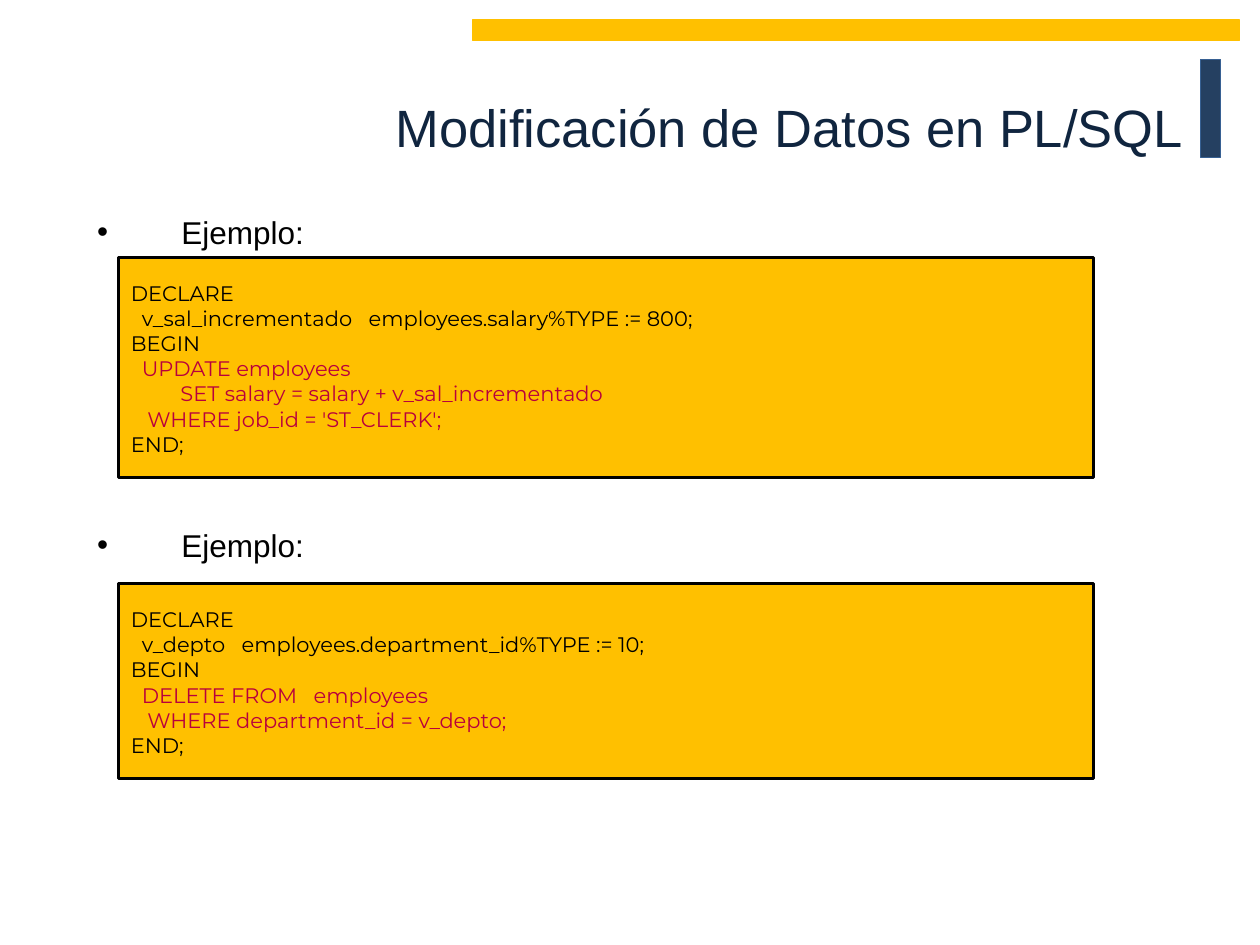
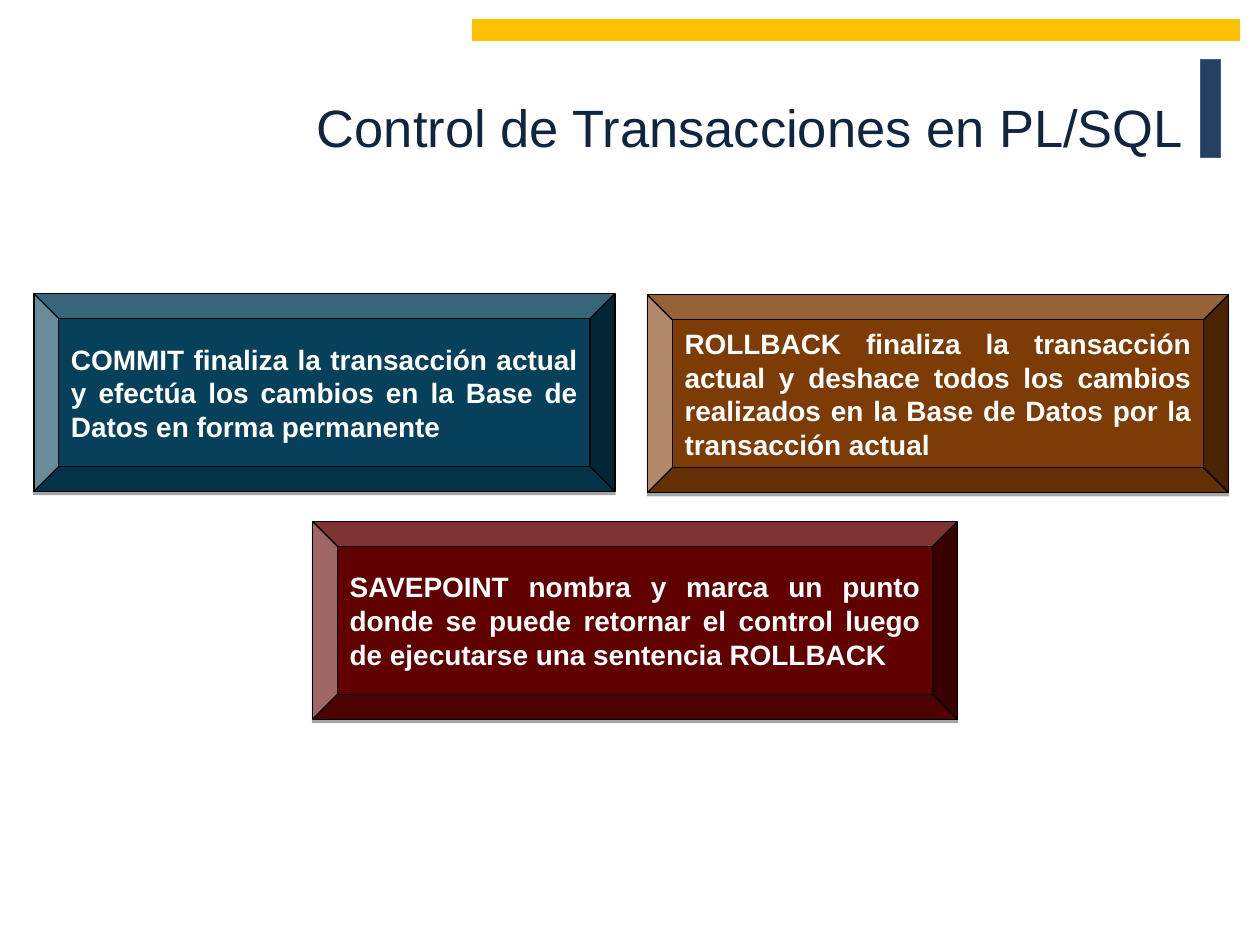
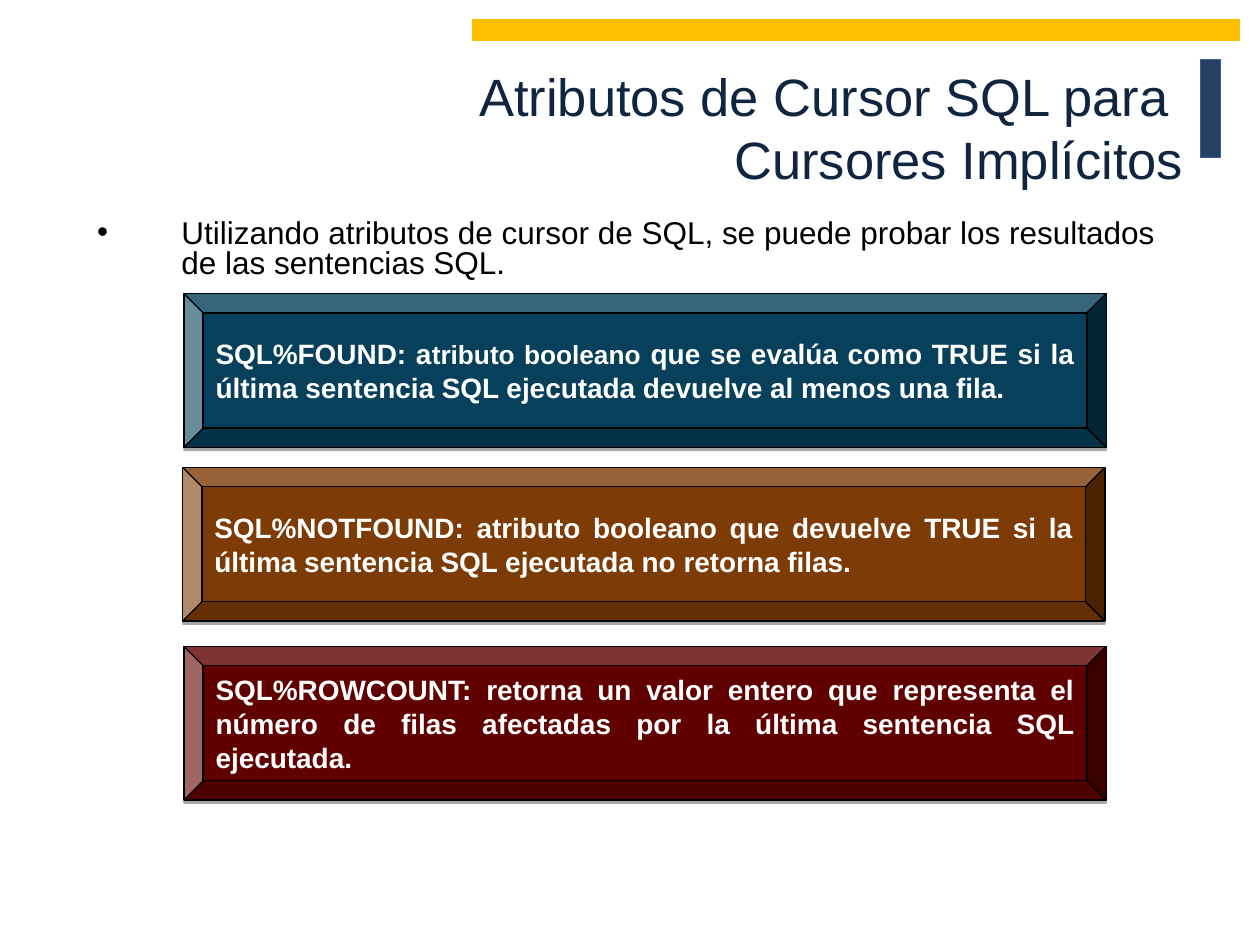
from lxml import etree
from pptx import Presentation
from pptx.dml.color import RGBColor
from pptx.enum.shapes import MSO_SHAPE
from pptx.enum.text import MSO_ANCHOR, MSO_AUTO_SIZE, PP_ALIGN
from pptx.oxml.ns import qn
from pptx.util import Pt

RECT, BEVEL = MSO_SHAPE.RECTANGLE, MSO_SHAPE.BEVEL
LEFT, RIGHT, JUSTIFY = PP_ALIGN.LEFT, PP_ALIGN.RIGHT, PP_ALIGN.JUSTIFY
TOP, MIDDLE = MSO_ANCHOR.TOP, MSO_ANCHOR.MIDDLE
NO_FIT = MSO_AUTO_SIZE.NONE
TITLE_AND_BODY, TITLE_ONLY = 1, 5

GOLD, NAVY, NAVY_EDGE, INK = "FFC000", "254061", "376092", "10253F"
BLACK, WHITE, CRIMSON = "000000", "FFFFFF", "B8003D"
TEAL, BROWN, MAROON = "06405A", "7D3B05", "600000"

CODE_SPACE = 3.15  # width of one space in the code font


def rgb(value):
    return RGBColor.from_string(value)


def write(p, text, size=16, color=BLACK, bold=False, font="Arial"):
    """Add text to a paragraph; a newline becomes a line break."""
    for i, line in enumerate(text.split("\n")):
        if i:
            p.add_line_break()
        r = p.add_run()
        r.text = line
        r.font.name, r.font.size, r.font.bold = font, Pt(size), bold
        r.font.color.rgb = rgb(color)


def indent(p, left, first=0):
    pPr = p._p.get_or_add_pPr()
    pPr.set("marL", str(Pt(left)))
    pPr.set("indent", str(Pt(first)))


def paragraph(tf, i):
    return tf.add_paragraph() if i else tf.paragraphs[0]


def place(sp, x, y, w, h):
    sp.left, sp.top, sp.width, sp.height = Pt(x), Pt(y), Pt(w), Pt(h)


def drop_shadow(sp):
    effects = sp.element.spPr.find(qn("a:effectLst"))
    shadow = etree.SubElement(effects, qn("a:outerShdw"), blurRad="0",
                              dist=str(Pt(1.8)), dir="5400000", rotWithShape="0")
    color = etree.SubElement(shadow, qn("a:srgbClr"), val=BLACK)
    etree.SubElement(color, qn("a:alpha"), val="35000")


class Deck:
    def __init__(self):
        self.prs = Presentation()
        self.prs.slide_width, self.prs.slide_height = Pt(720), Pt(540)
        self.s = None

    def slide(self, title, layout):
        first = self.s is None
        self.s = self.prs.slides.add_slide(self.prs.slide_layouts[layout])
        if first:
            self.master_bands()
        sp = self.s.shapes.title
        place(sp, 70, 15, 613.5, 115)
        tf = sp.text_frame
        tf.auto_size, tf.vertical_anchor = NO_FIT, MIDDLE
        p = tf.paragraphs[0]
        p.alignment = RIGHT
        write(p, title, size=30, color=INK)

    def master_bands(self):
        """Draw the two bands and hand them to the slide master."""
        bands = [self.shape(RECT, 686, 34, 11.5, 56, NAVY, NAVY_EDGE),
                 self.shape(RECT, 270, 11.5, 438.5, 11.5, GOLD, GOLD)]
        tree = self.prs.slide_master.shapes.element
        for i, sp in enumerate(bands):
            sp.element.nvSpPr.cNvPr.set("id", str(101 + i))
            tree.insert(2 + i, sp.element)

    def shape(self, kind, x, y, w, h, fill, line=BLACK, width=0.75):
        sp = self.s.shapes.add_shape(kind, Pt(x), Pt(y), Pt(w), Pt(h))
        sp.shadow.inherit = False
        sp.fill.solid()
        sp.fill.fore_color.rgb = rgb(fill)
        sp.line.color.rgb = rgb(line)
        sp.line.width = Pt(width)
        return sp

    def bullets(self, items, align, gap=3.6):
        """Fill the body placeholder; gap is the space between items."""
        sp = self.s.placeholders[1]
        place(sp, 48.25, 122.4, 629.3, 32.4)
        tf = sp.text_frame
        tf.auto_size, tf.vertical_anchor = NO_FIT, TOP
        for i, item in enumerate(items):
            p = paragraph(tf, i)
            p.alignment, p.line_spacing = align, 0.8
            p.space_before = Pt(gap if i else 3.6)
            indent(p, 48.25, -48.25)
            write(p, item, size=18)

    def code(self, y, h, lines):
        """Lines are (leading spaces, text, color)."""
        sp = self.shape(RECT, 67.7, y, 557.3, h, GOLD, width=1.75)
        tf = sp.text_frame
        tf.word_wrap, tf.vertical_anchor = True, TOP
        tf.margin_top = Pt(13.2)
        for i, (spaces, text, color) in enumerate(lines):
            p = paragraph(tf, i)
            p.alignment = LEFT
            indent(p, spaces * CODE_SPACE)
            write(p, text, size=12, color=color, font="Montserrat")

    def bevel(self, x, y, w, h, fill, *runs):
        """Runs are (text, size)."""
        sp = self.shape(BEVEL, x, y, w, h, fill)
        drop_shadow(sp)
        tf = sp.text_frame
        tf.word_wrap, tf.vertical_anchor = True, MIDDLE
        p = tf.paragraphs[0]
        p.alignment = JUSTIFY
        for text, size in runs:
            write(p, text, size=size, color=WHITE, bold=True)


def main():
    deck = Deck()

    deck.slide("Modificación de Datos en PL/SQL", TITLE_AND_BODY)
    deck.bullets(["Ejemplo:", "Ejemplo:"], JUSTIFY, gap=161.7)
    deck.code(146.9, 126, [
        (0, "DECLARE", BLACK),
        (2, "v_sal_incrementado   employees.salary%TYPE := 800;", BLACK),
        (0, "BEGIN", BLACK),
        (2, "UPDATE employees", CRIMSON),
        (9, "SET salary = salary + v_sal_incrementado", CRIMSON),
        (3, "WHERE job_id = 'ST_CLERK';", CRIMSON),
        (0, "END;", BLACK),
    ])
    deck.code(333.4, 111.6, [
        (0, "DECLARE", BLACK),
        (2, "v_depto   employees.department_id%TYPE := 10;", BLACK),
        (0, "BEGIN", BLACK),
        (2, "DELETE FROM   employees", CRIMSON),
        (3, "WHERE department_id = v_depto;", CRIMSON),
        (0, "END;", BLACK),
    ])

    deck.slide("Control de Transacciones en PL/SQL", TITLE_ONLY)
    for x, y, w, fill, text in [
        (19.4, 167.8, 332, TEAL,
         "COMMIT finaliza la transacción actual y efectúa los cambios "
         "en la Base de Datos en forma permanente"),
        (370, 168.5, 332, BROWN,
         "ROLLBACK finaliza la transacción actual y deshace todos los cambios "
         "realizados en la Base de Datos por la transacción actual"),
        (178.6, 298, 368.6, MAROON,
         "SAVEPOINT nombra y marca un punto donde se puede retornar el control "
         "luego de ejecutarse una sentencia ROLLBACK"),
    ]:
        deck.bevel(x, y, w, 113, fill, (text, 16))

    deck.slide("Atributos de Cursor SQL para \nCursores Implícitos", TITLE_AND_BODY)
    deck.bullets(["Utilizando atributos de cursor de SQL, se puede probar "
                  "los resultados de las sentencias SQL."], LEFT)
    for x, y, fill, runs in [
        (105.1, 167.8, TEAL,
         [("SQL%FOUND: a", 16), ("tributo booleano", 15),
          (" que se evalúa como TRUE si la última sentencia SQL ejecutada "
           "devuelve al menos una fila.", 16)]),
        (104.4, 267.1, BROWN,
         [("SQL%NOTFOUND: atributo booleano que devuelve TRUE si la última "
           "sentencia SQL ejecutada no retorna filas.", 16)]),
        (105.1, 369.4, MAROON,
         [("SQL%ROWCOUNT: retorna un valor entero que representa el número "
           "de filas afectadas por la última sentencia SQL ejecutada.", 16)]),
    ]:
        deck.bevel(x, y, 527, 87.8, fill, *runs)

    deck.prs.save("out.pptx")


if __name__ == "__main__":
    main()
